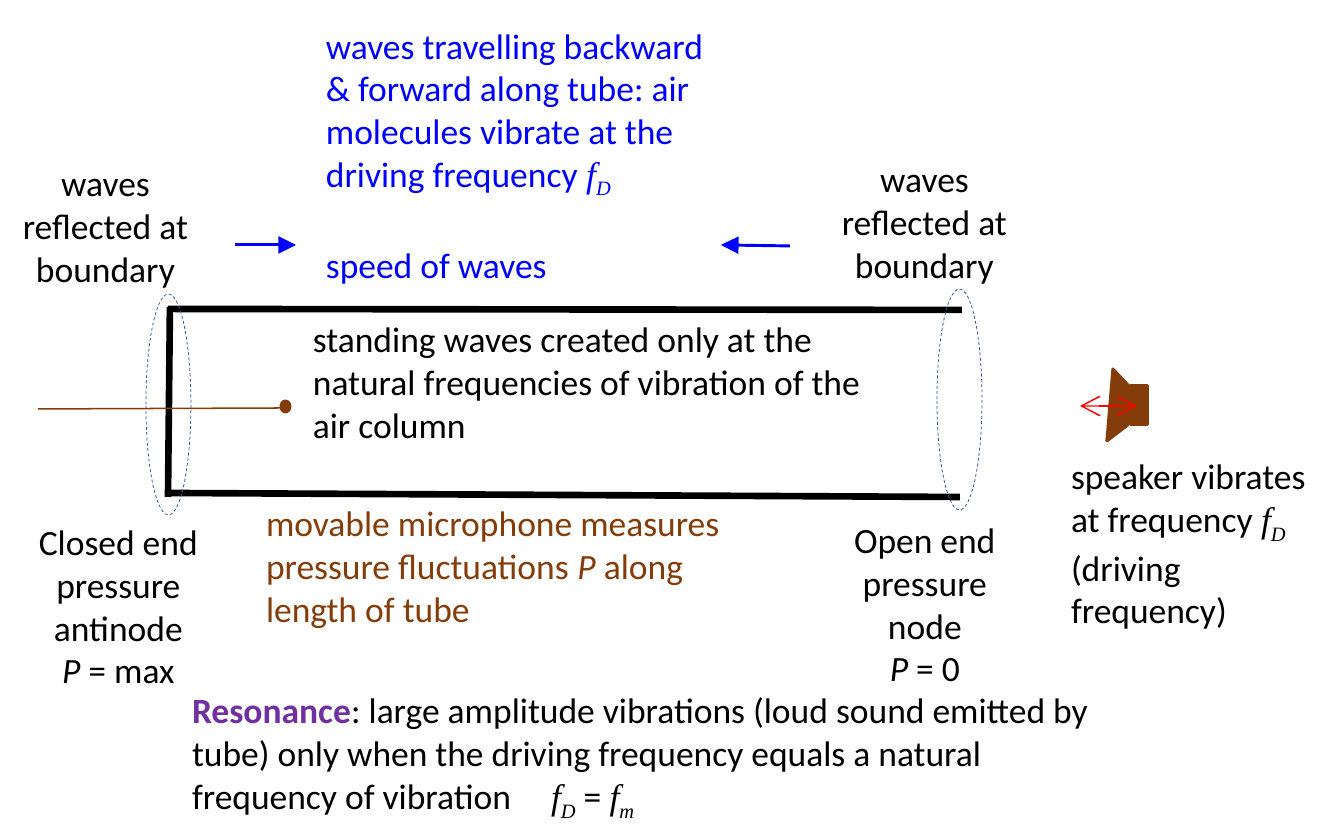
from lxml.etree import SubElement
from pptx import Presentation
from pptx.dml.color import RGBColor
from pptx.enum.dml import MSO_LINE
from pptx.enum.shapes import MSO_CONNECTOR, MSO_SHAPE
from pptx.enum.text import MSO_AUTO_SIZE, PP_ALIGN
from pptx.oxml.ns import qn
from pptx.util import Pt

EMU_PER_PX = 4286
SLIDE_SIZE = (1344, 840)
COLOURS = {
    "black": "000000", "blue": "0000FF", "brown": "843C0B",
    "red": "FF0000", "purple": "7030A0", "outline": "325491",
}
FORMULA_TAB = 359
BLANK_LINE = 14.65

TUBE_WALLS = [
    (168, 309, 962, 310),
    (166, 493, 960, 497),
    (170, 307, 168, 497),
]
TUBE_ENDS = [(146, 294, 45, 221), (937, 289, 45, 221)]
MICROPHONE_ROD = (38, 409, 288, 408)
MICROPHONE_HEAD = (281, 401, 9, 11)
SPEAKER_BACK = (1131, 386, 17, 39)
SPEAKER_CONE = [(1130, 387), (1113, 369), (1107, 441), (1128, 425)]
SPEAKER_MOTION = (1080, 406, 1137, 406)
WAVE_ARROWS = [(235, 245, 296, 245), (790, 246, 721, 245)]

DRIVING = [("f", "symbol"), ("D", "subscript")]
NATURAL = [("f", "symbol"), ("m", "subscript")]
REFLECTED = [[("waves reflected at boundary", "plain")]]

LABELS = [
    ((15, 510, 207, 194), "black", "centre", True, [
        [("Closed end", "plain")],
        [("pressure antinode", "plain")],
        [("P", "italic"), (" = max", "plain")],
    ]),
    ((832, 508, 186, 194), "black", "centre", False, [
        [("Open end", "plain")],
        [("pressure", "plain")],
        [("node", "plain")],
        [("P", "italic"), (" = 0", "plain")],
    ]),
    ((-17, 151, 245, 151), "black", "centre", True, REFLECTED),
    ((802, 147, 245, 151), "black", "centre", True, REFLECTED),
    ((245, 491, 501, 151), "brown", "left", True, [
        [("movable microphone measures pressure fluctuations ", "plain"),
         ("P ", "italic"), ("along length of tube", "plain")],
    ]),
    ((1050, 444, 290, 194), "black", "left", True, [
        [("speaker vibrates at frequency ", "plain"), *DRIVING],
        [("(driving frequency)", "plain")],
    ]),
    ((292, 307, 591, 151), "black", "left", True, [
        [("standing waves created only at the natural frequencies of "
          "vibration of the air column", "plain")],
    ]),
]
WAVES_LABEL = ((305, 13, 427, 267), "blue", "left", True, [
    [("waves travelling backward & forward along tube: air molecules "
      "vibrate at the driving frequency ", "plain"), *DRIVING],
    [("speed of waves", "plain")],
])
RESONANCE_LABEL = ((171, 678, 981, 151), "black", "left", True, [
    [("Resonance", "key term"),
     (": large amplitude vibrations (loud sound emitted by tube) only when "
      "the driving frequency equals a natural frequency of vibration\t", "plain"),
     *DRIVING, (" = ", "plain"), *NATURAL],
])
ALIGNMENTS = {"left": PP_ALIGN.LEFT, "centre": PP_ALIGN.CENTER}


def px(*lengths):
    return [length * EMU_PER_PX for length in lengths]


def colour(name):
    return RGBColor.from_string(COLOURS[name])


def add_line(slide, ends, colour_name, width, head=None, tail=None):
    connector = slide.shapes.add_connector(MSO_CONNECTOR.STRAIGHT, *px(*ends))
    connector.line.color.rgb = colour(colour_name)
    connector.line.width = Pt(width)
    outline = connector.line._get_or_add_ln()
    for tag, kind in (("a:headEnd", head), ("a:tailEnd", tail)):
        if kind:
            SubElement(outline, qn(tag), type=kind)
    SubElement(connector._element.spPr, qn("a:effectLst"))


def paint(shape, fill, line, width):
    shape.shadow.inherit = False
    if fill:
        shape.fill.solid()
        shape.fill.fore_color.rgb = colour(fill)
    else:
        shape.fill.background()
    shape.line.color.rgb = colour(line)
    shape.line.width = Pt(width)


def add_label(slide, box, colour_name, alignment, wrap, paragraphs):
    frame = slide.shapes.add_textbox(*px(*box)).text_frame
    frame.word_wrap = wrap
    frame.auto_size = MSO_AUTO_SIZE.SHAPE_TO_FIT_TEXT
    for index, parts in enumerate(paragraphs):
        paragraph = frame.add_paragraph() if index else frame.paragraphs[0]
        paragraph.alignment = ALIGNMENTS[alignment]
        for text, style in parts:
            run = paragraph.add_run()
            run.text = text
            mathematical = style in ("symbol", "subscript")
            run.font.name = "Times New Roman" if mathematical else "Calibri"
            run.font.size = Pt(12)
            run.font.italic = mathematical or style == "italic"
            run.font.bold = style == "key term"
            run.font.color.rgb = colour("purple" if style == "key term" else colour_name)
            if style == "subscript":
                run._r.get_or_add_rPr().set("baseline", "-25000")
    return frame


def main():
    presentation = Presentation()
    presentation.slide_width, presentation.slide_height = px(*SLIDE_SIZE)
    slide = presentation.slides.add_slide(presentation.slide_layouts[6])
    shapes = slide.shapes

    for wall in TUBE_WALLS:
        add_line(slide, wall, "black", 2.25)
    for box in TUBE_ENDS:
        tube_end = shapes.add_shape(MSO_SHAPE.OVAL, *px(*box))
        paint(tube_end, None, "outline", 0.25)
        tube_end.line.dash_style = MSO_LINE.DASH

    add_line(slide, MICROPHONE_ROD, "brown", 0.5)
    for kind, box in ((MSO_SHAPE.OVAL, MICROPHONE_HEAD), (MSO_SHAPE.RECTANGLE, SPEAKER_BACK)):
        paint(shapes.add_shape(kind, *px(*box)), "brown", "brown", 1)

    builder = shapes.build_freeform(*SPEAKER_CONE[0], scale=EMU_PER_PX)
    builder.add_line_segments(SPEAKER_CONE[1:], close=True)
    paint(builder.convert_to_shape(), "brown", "brown", 1)
    add_line(slide, SPEAKER_MOTION, "red", 0.5, head="arrow", tail="arrow")
    for arrow in WAVE_ARROWS:
        add_line(slide, arrow, "blue", 1, tail="triangle")

    for label in LABELS:
        add_label(slide, *label)
    waves = add_label(slide, *WAVES_LABEL)
    waves.paragraphs[1].space_before = Pt(BLANK_LINE)
    resonance = add_label(slide, *RESONANCE_LABEL)
    tabs = SubElement(resonance.paragraphs[0]._p.get_or_add_pPr(), qn("a:tabLst"))
    SubElement(tabs, qn("a:tab"), pos=str(px(FORMULA_TAB)[0]), algn="l")

    presentation.save("out.pptx")


if __name__ == "__main__":
    main()
